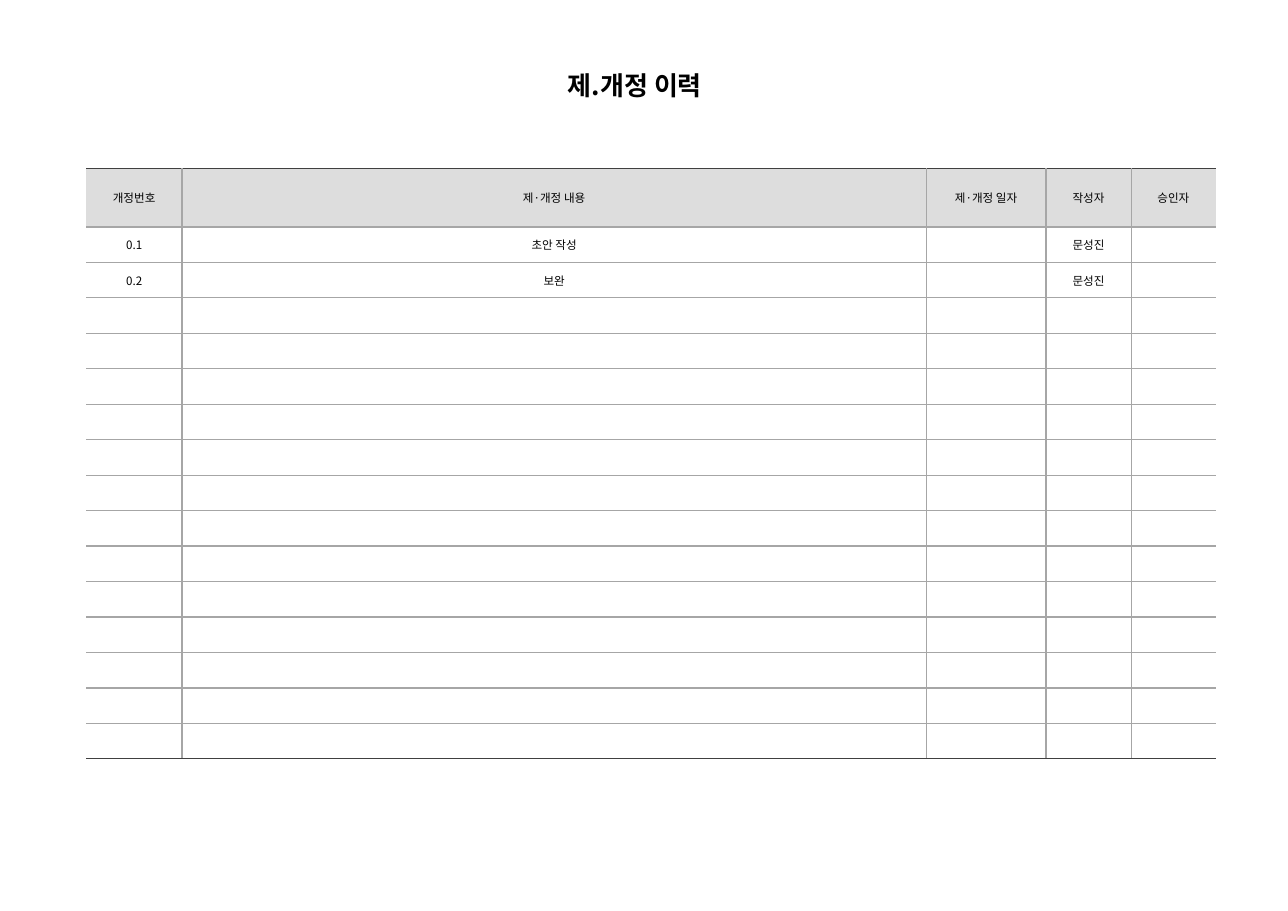
"""Build the revision history page with its title and log table."""
from dataclasses import dataclass

from lxml import etree
from pptx import Presentation
from pptx import util as u
from pptx.dml.color import RGBColor
from pptx.enum import text
from pptx.oxml.ns import qn


@dataclass(frozen=True)
class Theme:
    """Hold the colours, font and type sizes."""
    ink: str = "000000"
    header: str = "DDDDDD"
    rule: str = "A6A6A6"
    edge: str = "404040"
    font: str = "Noto Sans CJK KR"
    title: int = 18
    body: int = 8


def write(frame, words, *, theme, size, bold=False, before=0):
    """Write one centred paragraph into a text frame."""
    para = frame.paragraphs[0]
    para.alignment = text.PP_ALIGN.CENTER
    para.space_before = u.Pt(before)
    if not words:
        etree.SubElement(para._p, qn("a:endParaRPr"), sz=str(size * 100))
        return
    span = para.add_run()
    span.text = words
    span.font.size = u.Pt(size)
    span.font.bold = bold
    span.font.name = theme.font
    span.font.color.rgb = RGBColor.from_string(theme.ink)
    etree.SubElement(span.font._element, qn("a:ea"), typeface=theme.font)


def set_margins(item):
    """Give a cell or text frame the shared inner margins."""
    item.margin_left = item.margin_right = u.Inches(0.12)
    item.margin_top = item.margin_bottom = u.Inches(0.06)


def set_borders(cell, borders):
    """Draw one-point borders, given as a mapping of side to colour."""
    props = cell._tc.get_or_add_tcPr()
    for index, side in enumerate("LRTB"):
        line = etree.Element(qn(f"a:ln{side}"), w=str(u.Pt(1)))
        colour = borders.get(side)
        fill = etree.SubElement(line, qn("a:solidFill" if colour else "a:noFill"))
        if colour:
            etree.SubElement(fill, qn("a:srgbClr"), val=colour)
        props.insert(index, line)


class Page:
    """Place styled elements on one slide."""

    def __init__(self, deck, theme):
        """Add a title-only slide to the deck."""
        self.theme = theme
        self.slide = deck.slides.add_slide(deck.slide_layouts[5])

    def title(self, words, left, top, width, height):
        """Move and format the title placeholder."""
        box = self.slide.shapes.title
        box.left, box.top = u.Inches(left), u.Inches(top)
        box.width, box.height = u.Inches(width), u.Inches(height)
        frame = box.text_frame
        frame.word_wrap = True
        frame.auto_size = text.MSO_AUTO_SIZE.SHAPE_TO_FIT_TEXT
        frame.vertical_anchor = text.MSO_ANCHOR.TOP
        set_margins(frame)
        write(frame, words, theme=self.theme, size=self.theme.title, bold=True)

    def table(self, records, left, top, widths, heights):
        """Add a ruled table whose outer sides stay open."""
        rows, columns = len(heights), len(widths)
        grid = self.slide.shapes.add_table(
            rows, columns, u.Inches(left), u.Inches(top),
            u.Inches(sum(widths)), u.Inches(sum(heights))).table
        grid.first_row = grid.horz_banding = False
        for column, width in zip(grid.columns, widths):
            column.width = u.Inches(width)
        for row, height in zip(grid.rows, heights):
            row.height = u.Inches(height)
        for r in range(rows):
            record = records[r] if r < len(records) else [""] * columns
            for c, words in enumerate(record):
                self.cell(grid.cell(r, c), words, r, c, rows, columns)

    def cell(self, cell, words, r, c, rows, columns):
        """Format one table cell by its place in the grid."""
        theme = self.theme
        set_margins(cell)
        cell.vertical_anchor = text.MSO_ANCHOR.MIDDLE
        write(cell.text_frame, words, theme=theme, size=theme.body, before=1.6)
        if r == 0:
            cell.fill.solid()
            cell.fill.fore_color.rgb = RGBColor.from_string(theme.header)
        else:
            cell.fill.background()
        set_borders(cell, {
            "L": theme.rule if c > 0 else None,
            "R": theme.rule if c < columns - 1 else None,
            "T": theme.rule if r > 0 else theme.edge,
            "B": theme.rule if r < rows - 1 else theme.edge,
        })


REVISIONS = [
    ["개정번호", "제·개정 내용", "제·개정 일자", "작성자", "승인자"],
    ["0.1", "초안 작성", "", "문성진", ""],
    ["0.2", "보완", "", "문성진", ""],
]
ENTRY_ROWS = 15
TABLE_HEIGHT, HEADER_HEIGHT = 5.67, 0.56
ENTRY_HEIGHT = (TABLE_HEIGHT - HEADER_HEIGHT) / ENTRY_ROWS
PAGE_HEIGHT = 8.75
A4_RATIO = 297 / 210

deck = Presentation()
deck.slide_width = u.Inches(PAGE_HEIGHT * A4_RATIO)
deck.slide_height = u.Inches(PAGE_HEIGHT)
page = Page(deck, Theme())
page.table(REVISIONS, 0.83, 1.62, [0.92, 7.15, 1.15, 0.82, 0.81],
           [HEADER_HEIGHT] + [ENTRY_HEIGHT] * ENTRY_ROWS)
page.title("제.개정 이력", 5.32, 0.61, 1.56, 0.42)
deck.save("out.pptx")
